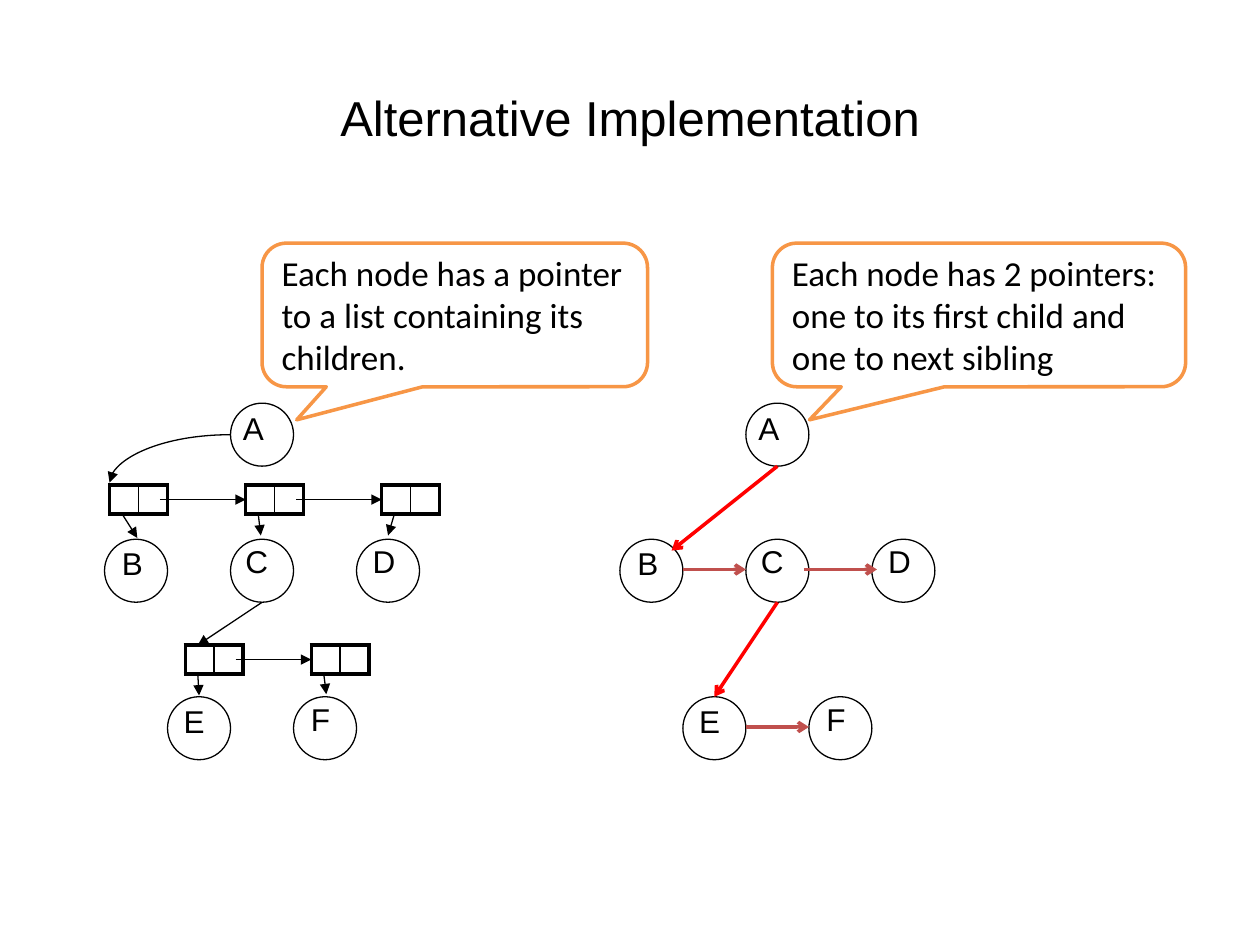
import pptx
import pptx.util
import pptx.dml.color
import pptx.enum.shapes
import pptx.enum.text
import pptx.oxml
import pptx.oxml.ns

Inches, Pt = pptx.util.Inches, pptx.util.Pt
Kind = pptx.enum.shapes.MSO_SHAPE
Link = pptx.enum.shapes.MSO_CONNECTOR
Anchor = pptx.enum.text.MSO_ANCHOR
Align = pptx.enum.text.PP_ALIGN
Fit = pptx.enum.text.MSO_AUTO_SIZE
qn = pptx.oxml.ns.qn

TITLE = "Alternative Implementation"
NODES = {"A": (1.83, 3.2), "B": (0.83, 4.28), "C": (1.83, 4.28),
         "D": (2.83, 4.28), "E": (1.33, 5.53), "F": (2.33, 5.53)}
NUDGE = {"A": (0, 0), "B": (0.04, -0.01), "C": (0.02, -0.03),
         "D": (0.03, -0.03), "E": (0.03, -0.01), "F": (0.04, -0.02)}
CELLS = {"B": (0.87, 3.85), "C": (1.95, 3.85), "D": (3.03, 3.85),
         "E": (1.47, 5.12), "F": (2.47, 5.12)}
PAIRS = [("B", "C", 0), ("C", "D", 0.04), ("E", "F", 0)]
NOTES = [(2.08, 3.06, "Each node has a pointer to a list containing its children."),
         (6.13, 3.28, "Each node has 2 pointers: one to its first child and "
                      "one to next sibling")]
COLORS = {"ink": "000000", "paper": "FFFFFF", "child": "FF0000",
          "next": "C0504D", "note": "F79646"}
FONTS = {"title": {"name": "Arial", "size": Pt(28), "bold": False},
         "node": {"name": "Arial", "size": Pt(18)},
         "note": {"name": "Calibri", "size": Pt(20)}}
SIZE, SHIFT, HALF, HIGH = 0.5, 4.09, 0.23, 0.23


def rgb(key):
    """Return the named color."""
    return pptx.dml.color.RGBColor.from_string(COLORS[key])


def box(*nums):
    """Turn numbers into lengths."""
    return [Inches(n) for n in nums]


def style(frame, text, look, align, **form):
    """Write text in a frame with its format."""
    for key, value in form.items():
        setattr(frame, key, value)
    par = frame.paragraphs[0]
    par.alignment = align
    run = par.add_run()
    run.text = text
    for key, value in FONTS[look].items():
        setattr(run.font, key, value)
    run.font.color.rgb = rgb("ink")


def outline(item, color, width):
    """Set the line of a shape."""
    item.line.color.rgb = rgb(color)
    item.line.width = Pt(width)


def arrow(host, start, end, color="ink", width=0.75, tip="triangle", kind=Link.STRAIGHT):
    """Draw an arrow from start to end."""
    item = host.add_connector(kind, *box(*start, *end))
    outline(item, color, width)
    pptx.oxml.ns
    line = item.line._get_or_add_ln()
    line.append(line.makeelement(qn("a:tailEnd"), {"type": tip}))
    props = item._element.spPr
    props.append(props.makeelement(qn("a:effectLst"), {}))
    return item


def circles(host, shift):
    """Draw the node rings."""
    for x, y in NODES.values():
        ring = host.add_shape(Kind.OVAL, *box(x + shift, y, SIZE, SIZE))
        ring.shadow.inherit = False
        ring.fill.background()
        outline(ring, "ink", 0.75)


def spot(name):
    """Return the corner of a node's letter."""
    return [a + b for a, b in zip(NODES[name], NUDGE[name])]


def letters(host, shift):
    """Write the node names."""
    for name in NODES:
        x, y = spot(name)
        label = host.add_textbox(*box(x + shift, y, 0.44, SIZE))
        style(label.text_frame, name, "node", Align.LEFT,
              word_wrap=True, auto_size=Fit.SHAPE_TO_FIT_TEXT)


def edge(cell, side, width):
    """Add one border to a cell."""
    props = cell._tc.get_or_add_tcPr()
    line = props.makeelement(qn("a:" + side), {"w": str(Pt(width))})
    fill = line.makeelement(qn("a:solidFill"), {})
    fill.append(fill.makeelement(qn("a:srgbClr"), {"val": COLORS["ink"]}))
    line.append(fill)
    props.append(line)


def record(host, x, y):
    """Draw a list record with two fields."""
    table = host.add_table(1, 2, *box(x, y, 2 * HALF, HIGH)).table
    table.first_row = table.horz_banding = False
    table.rows[0].height = Inches(HIGH)
    for col, inner in enumerate(("lnR", "lnL")):
        table.columns[col].width = Inches(HALF)
        cell = table.cell(0, col)
        for side in ("left", "right", "top", "bottom"):
            setattr(cell, "margin_" + side, 0)
        par = cell.text_frame.paragraphs[0]._p
        par.append(par.makeelement(qn("a:endParaRPr"), {"sz": "800"}))
        for side in ("lnL", "lnR", "lnT", "lnB"):
            edge(cell, side, 1 if side == inner else 2.25)
        cell.fill.background()


def lists(host):
    """Draw the tree that uses child lists."""
    circles(host, 0)
    letters(host, 0)
    for x, y in CELLS.values():
        record(host, x, y)
    (ax, ay), (bx, by) = NODES["A"], CELLS["B"]
    curve = arrow(host, (ax, ay + SIZE / 2), (bx, by - 0.02), kind=Link.CURVE)
    curve._element.spPr.find(qn("a:prstGeom")).set("prst", "curvedConnector2")
    for left, right, _ in PAIRS:
        (x, y), (end, _) = CELLS[left], CELLS[right]
        arrow(host, (x + 0.4, y + HIGH / 2), (end, y + HIGH / 2))
    for name, (x, y) in CELLS.items():
        tx, ty = spot(name)
        arrow(host, (x + 0.1, y + HIGH), (tx + 0.22, ty))
    (cx, cy), (ex, ey) = NODES["C"], CELLS["E"]
    arrow(host, (cx + SIZE / 2, cy + SIZE), (ex + 0.1, ey))


def links(host):
    """Draw the tree that uses sibling links."""
    circles(host, SHIFT)
    for top, low, dx, dy in (("A", "B", 0.41, 0.09), ("C", "E", 0.25, 0)):
        (x, y), (ex, ey) = NODES[top], NODES[low]
        arrow(host, (x + SHIFT + SIZE / 2, y + SIZE), (ex + SHIFT + dx, ey + dy),
              "child", 2, "arrow")
    for left, right, pad in PAIRS:
        (x, y), (end, _) = NODES[left], NODES[right]
        arrow(host, (x + SHIFT + SIZE - pad, y + 0.24), (end + SHIFT + pad, y + 0.24),
              "next", 2, "arrow")
    letters(host, SHIFT)


def notes(host):
    """Draw the two callouts."""
    for x, width, text in NOTES:
        note = host.add_shape(Kind.ROUNDED_RECTANGULAR_CALLOUT, *box(x, 1.93, width, 1.14))
        note.shadow.inherit = False
        for spot_no, value in enumerate((-0.41, 0.73, 0.17)):
            note.adjustments[spot_no] = value
        note.fill.solid()
        note.fill.fore_color.rgb = rgb("paper")
        outline(note, "note", 2)
        style(note.text_frame, text, "note", Align.LEFT,
              word_wrap=True, vertical_anchor=Anchor.MIDDLE)


def main():
    """Build the slide and save it."""
    deck = pptx.Presentation()
    deck.slide_width, deck.slide_height = box(10, 7.5)
    slide = deck.slides.add_slide(deck.slide_layouts[5])
    title = slide.shapes.title
    for key, value in zip(("left", "top", "width", "height"), box(0.5, 0.3, 9, 1.25)):
        setattr(title, key, value)
    style(title.text_frame, TITLE, "title", Align.CENTER, vertical_anchor=Anchor.MIDDLE)
    lists(slide.shapes)
    links(slide.shapes.add_group_shape().shapes)
    notes(slide.shapes)
    deck.save("out.pptx")


if __name__ == "__main__":
    main()
